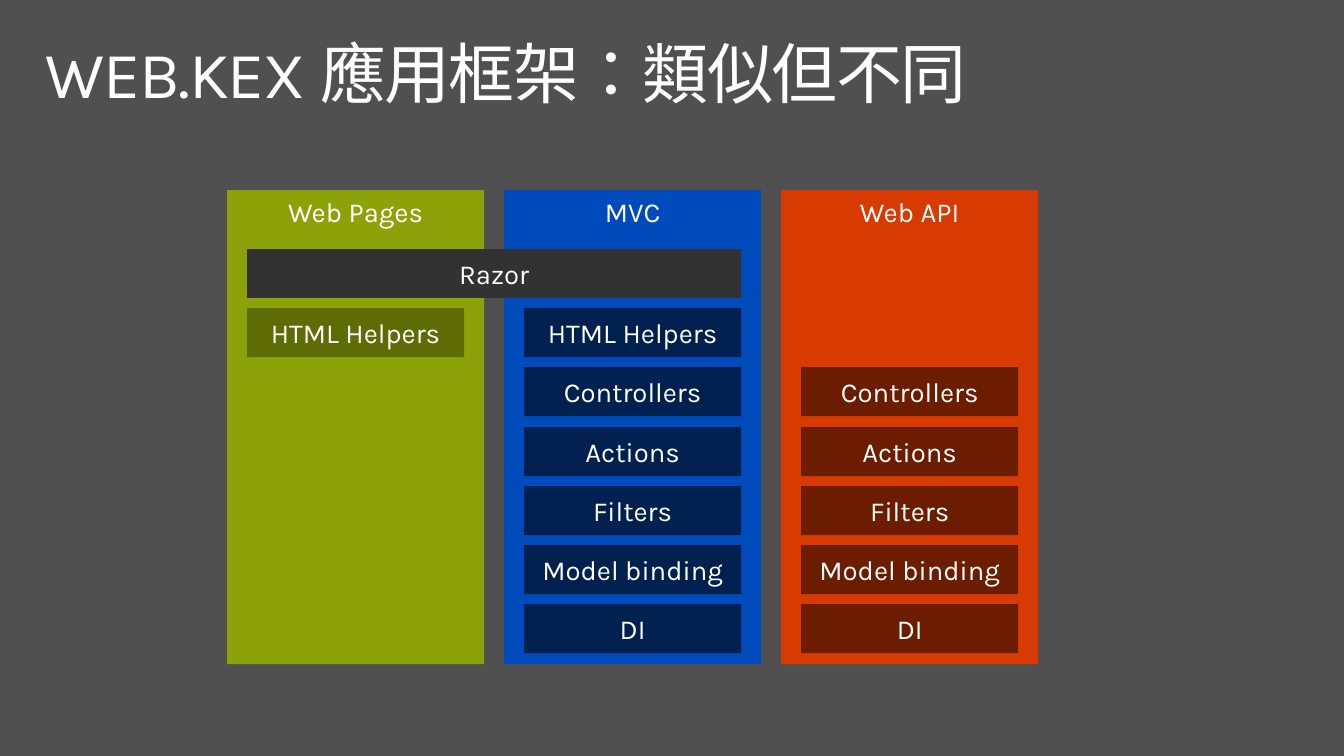
"""Slide comparing the building blocks of three web frameworks."""
from pptx import Presentation
from pptx import util as u
from pptx.dml.color import RGBColor
from pptx.enum import lang, shapes, text

SCALE = 914400 / 98.8  # EMU per pixel
FONT = "Karla"

WHITE = RGBColor(0xFF, 0xFF, 0xFF)
BACKGROUND = RGBColor(0x50, 0x50, 0x50)
RAZOR_GREY = RGBColor(0x32, 0x32, 0x32)
GREEN, DARK_GREEN = RGBColor(0x8B, 0xA2, 0x08), RGBColor(0x5D, 0x6C, 0x05)
BLUE, DARK_BLUE = RGBColor(0x00, 0x4B, 0xBC), RGBColor(0x00, 0x20, 0x50)
RED, DARK_RED = RGBColor(0xD8, 0x3B, 0x01), RGBColor(0x6C, 0x1D, 0x00)

COLUMN_LEFT, COLUMN_TOP = 227, 190
COLUMN_WIDTH, COLUMN_HEIGHT = 257, 474
COLUMN_PITCH = 277
INSET = 20
FEATURE_TOP, FEATURE_HEIGHT, FEATURE_PITCH = 249, 49, 59.2
FEATURE_WIDTH = COLUMN_WIDTH - 2 * INSET

SHARED = ["Controllers", "Actions", "Filters", "Model binding", "DI"]
# name, column colour, feature colour, first feature row, features
FRAMEWORKS = [
    ("Web Pages", GREEN, DARK_GREEN, 1, ["HTML Helpers"]),
    ("MVC", BLUE, DARK_BLUE, 1, ["HTML Helpers"] + SHARED),
    ("Web API", RED, DARK_RED, 2, SHARED),
]


def px(pixels):
    """Turn pixels into EMU."""
    return u.Emu(round(pixels * SCALE))


def set_margins(frame, side, vertical):
    """Set the inner margins of a text frame, in pixels."""
    frame.margin_left = frame.margin_right = px(side)
    frame.margin_top = frame.margin_bottom = px(vertical)


def add_run(paragraph, words, size):
    """Add a white run of text and return it."""
    run = paragraph.add_run()
    run.text = words
    run.font.name = FONT
    run.font.size = u.Pt(size)
    run.font.color.rgb = WHITE
    return run


def add_title(slide, words):
    """Add the slide title in Traditional Chinese with tightened letters."""
    title = slide.shapes.add_textbox(px(30), px(32), px(1284), px(99))
    frame = title.text_frame
    frame.word_wrap = True
    set_margins(frame, 16, 10)
    paragraph = frame.paragraphs[0]
    paragraph.line_spacing = 0.9
    run = add_run(paragraph, words, 48)
    run.font.language_id = lang.MSO_LANGUAGE_ID.TRADITIONAL_CHINESE
    run.font._element.set("spc", "-100")


def add_block(slide, words, fill, left, top, width, height,
              anchor=text.MSO_ANCHOR.MIDDLE):
    """Add a flat rectangle with a centred label."""
    block = slide.shapes.add_shape(
        shapes.MSO_SHAPE.RECTANGLE, px(left), px(top), px(width), px(height))
    block.shadow.inherit = False
    block.fill.solid()
    block.fill.fore_color.rgb = fill
    block.line.fill.background()
    frame = block.text_frame
    frame.word_wrap = True
    frame.vertical_anchor = anchor
    set_margins(frame, 0, 5)
    paragraph = frame.paragraphs[0]
    paragraph.alignment = text.PP_ALIGN.CENTER
    add_run(paragraph, words, 20)


def add_feature(slide, words, fill, column, row, columns=1):
    """Add a feature block in a grid row, spanning one or more columns."""
    left = COLUMN_LEFT + column * COLUMN_PITCH + INSET
    top = round(FEATURE_TOP + row * FEATURE_PITCH)
    width = FEATURE_WIDTH + (columns - 1) * COLUMN_PITCH
    add_block(slide, words, fill, left, top, width, FEATURE_HEIGHT)


def main():
    """Build and save the slide."""
    deck = Presentation()
    deck.slide_width, deck.slide_height = u.Inches(13.6), u.Inches(7.65)
    slide = deck.slides.add_slide(deck.slide_layouts[6])
    slide.background.fill.solid()
    slide.background.fill.fore_color.rgb = BACKGROUND

    add_title(slide, "WEB.KEX 應用框架：類似但不同")
    for column, (name, fill, *_) in enumerate(FRAMEWORKS):
        add_block(slide, name, fill, COLUMN_LEFT + column * COLUMN_PITCH,
                  COLUMN_TOP, COLUMN_WIDTH, COLUMN_HEIGHT, text.MSO_ANCHOR.TOP)
    add_feature(slide, "Razor", RAZOR_GREY, column=0, row=0, columns=2)
    for column, (_, _, fill, first_row, features) in enumerate(FRAMEWORKS):
        for row, feature in enumerate(features, first_row):
            add_feature(slide, feature, fill, column, row)

    deck.save("out.pptx")


main()
